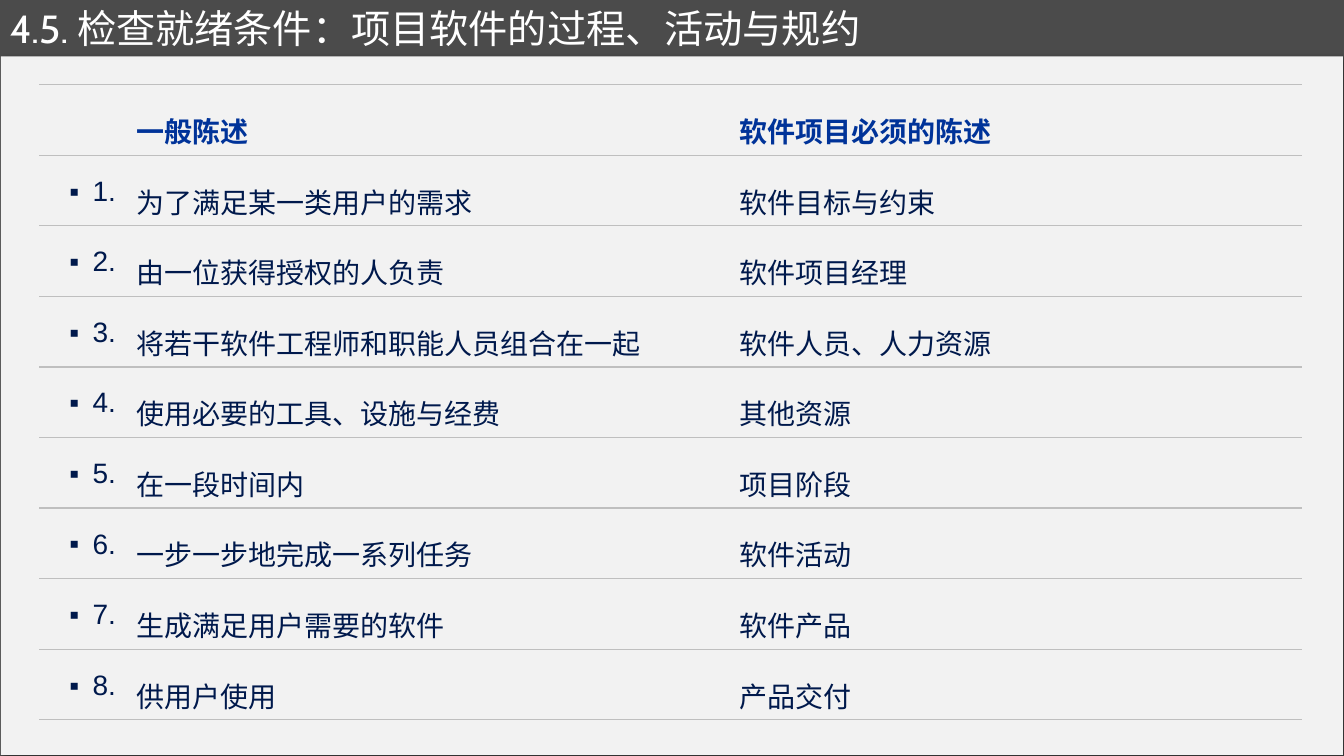
from lxml.etree import SubElement
from pptx import Presentation
from pptx.dml.color import RGBColor
from pptx.enum.shapes import MSO_SHAPE
from pptx.enum.text import MSO_ANCHOR, PP_ALIGN
from pptx.oxml.ns import qn
from pptx.util import Inches, Pt

# Content
TITLE = "4.5. 检查就绪条件：项目软件的过程、活动与规约"
HEAD = ("", "一般陈述", "软件项目必须的陈述")
PAIRS = [
    ("为了满足某一类用户的需求", "软件目标与约束"),
    ("由一位获得授权的人负责", "软件项目经理"),
    ("将若干软件工程师和职能人员组合在一起", "软件人员、人力资源"),
    ("使用必要的工具、设施与经费", "其他资源"),
    ("在一段时间内", "项目阶段"),
    ("一步一步地完成一系列任务", "软件活动"),
    ("生成满足用户需要的软件", "软件产品"),
    ("供用户使用", "产品交付"),
]
ROWS = [HEAD] + [(f"{n}.", *pair) for n, pair in enumerate(PAIRS, 1)]

# Theme and grid
THEME = {
    "back": "4B4B4B", "panel": "F2F2F2", "rule": "BFBFBF",
    "title": {"name": "Cabin", "size": Pt(28), "color": "FFFFFF"},
    "head": {"name": "Arial", "size": Pt(20), "color": "003399", "bold": True},
    "body": {"name": "Arial", "size": Pt(20), "color": "00194C", "bold": False},
}
WIDE, HIGH = 13.33, 7.5
BAR = 0.56
LEFT, TOP = 0.39, 0.84
COLS = (0.86, 5.98, 5.68)
ROW = 0.7
HANG = 0.23


def paint(fill, color):
    fill.solid()
    fill.fore_color.rgb = RGBColor.from_string(color)


def write(para, text, style):
    run = para.add_run()
    run.text = text
    for key, val in style.items():
        if key == "color":
            run.font.color.rgb = RGBColor.from_string(val)
        else:
            setattr(run.font, key, val)


def shade(shape):
    list_ = SubElement(shape.fill._xPr, qn("a:effectLst"))
    drop = SubElement(list_, qn("a:outerShdw"), blurRad=str(Pt(4)),
                      dist=str(Pt(3)), dir=str(45 * 60000))
    tint = SubElement(drop, qn("a:srgbClr"), val="000000")
    SubElement(tint, qn("a:alpha"), val="40000")


def rule(cell):
    props = cell._tc.get_or_add_tcPr()
    for side in ("lnL", "lnR", "lnT", "lnB"):
        if side in ("lnL", "lnR"):
            line = SubElement(props, qn("a:" + side), w="0")
            SubElement(line, qn("a:noFill"))
        else:
            line = SubElement(props, qn("a:" + side), w=str(Pt(1)))
            fill = SubElement(line, qn("a:solidFill"))
            SubElement(fill, qn("a:srgbClr"), val=THEME["rule"])
    cell.fill.background()


def mark(para):
    para.alignment = PP_ALIGN.RIGHT
    props = para._p.get_or_add_pPr()
    props.set("marL", str(Inches(HANG)))
    props.set("indent", str(-Inches(HANG)))
    space = SubElement(props, qn("a:spcBef"))
    SubElement(space, qn("a:spcPct"), val="20000")
    SubElement(props, qn("a:buFont"), typeface="Arial")
    SubElement(props, qn("a:buChar"), char="▪")


def main():
    deck = Presentation()
    deck.slide_width, deck.slide_height = Inches(WIDE), Inches(HIGH)
    slide = deck.slides.add_slide(deck.slide_layouts[6])
    paint(slide.background.fill, THEME["back"])

    # Light panel
    panel = slide.shapes.add_shape(
        MSO_SHAPE.RECTANGLE, Inches(0.01), Inches(BAR),
        Inches(WIDE - 0.02), Inches(HIGH - BAR - 0.01))
    paint(panel.fill, THEME["panel"])
    panel.line.fill.background()
    shade(panel)

    # Title
    box = slide.shapes.add_textbox(0, Inches(0.01), Inches(WIDE), Inches(0.53))
    frame = box.text_frame
    frame.word_wrap = True
    frame.vertical_anchor = MSO_ANCHOR.MIDDLE
    write(frame.paragraphs[0], TITLE, THEME["title"])

    # Table
    table = slide.shapes.add_table(
        len(ROWS), len(COLS), Inches(LEFT), Inches(TOP),
        Inches(sum(COLS)), Inches(ROW * len(ROWS))).table
    table.first_row = table.horz_banding = False
    for col, size in zip(table.columns, COLS):
        col.width = Inches(size)
    for r, row in enumerate(ROWS):
        table.rows[r].height = Inches(ROW)
        for c, text in enumerate(row):
            cell = table.cell(r, c)
            rule(cell)
            if not text:
                continue
            para = cell.text_frame.paragraphs[0]
            para.line_spacing = 1.5
            if r == 0:
                cell.vertical_anchor = MSO_ANCHOR.MIDDLE
            elif c == 0:
                mark(para)
            write(para, text, THEME["body" if r else "head"])

    deck.save("out.pptx")


if __name__ == "__main__":
    main()
